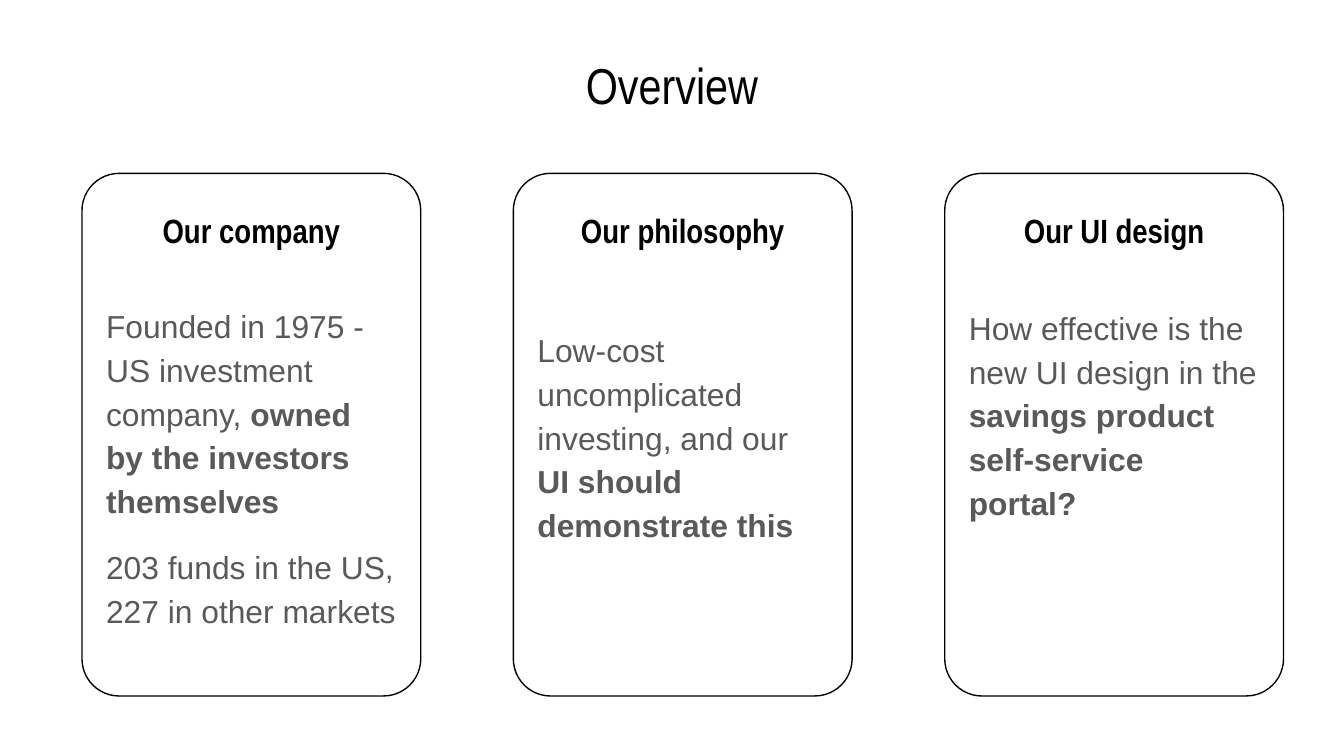
from pptx import Presentation
from pptx.dml.color import RGBColor
from pptx.enum import shapes, text
from pptx.util import Pt

TITLE = "Overview"
CARDS = [
    {"heading": "Our company", "pad_top": 33, "pad_bottom": 0, "body": [
        [("Founded in 1975 - US investment company, ", False),
         ("owned by the investors themselves", True)],
        [("203 funds in the US, 227 in other markets", False)]]},
    {"heading": "Our philosophy", "pad_top": 0, "pad_bottom": 0, "body": [
        [("Low-cost uncomplicated investing, and our ", False),
         ("UI should demonstrate this", True)]]},
    {"heading": "Our UI design", "pad_top": 0, "pad_bottom": 24, "body": [
        [("How effective is the new UI design in the ", False),
         ("savings product self-service portal?", True)]]},
]
LEFT, TOP, WIDTH, HEIGHT, PITCH = 43.9, 92.9, 181.5, 280, 231.1
INSET = 7.2


def rgb(value):
    return RGBColor.from_string(value)


def write(sp, paragraphs, size, font, color, align, spacing=None, after=0,
          pad_top=0, pad_bottom=0):
    tf = sp.text_frame
    tf.word_wrap = True
    tf.vertical_anchor = text.MSO_ANCHOR.MIDDLE
    tf.margin_left = tf.margin_right = Pt(INSET)
    tf.margin_top = Pt(INSET + pad_top)
    tf.margin_bottom = Pt(INSET + pad_bottom)
    for i, runs in enumerate(paragraphs):
        p = tf.add_paragraph() if i else tf.paragraphs[0]
        p.alignment = align
        p.line_spacing = spacing
        p.space_after = Pt(after)
        for words, bold in runs:
            r = p.add_run()
            r.text = words
            r.font.size = Pt(size)
            r.font.name = font
            r.font.bold = bold
            r.font.color.rgb = rgb(color)


def add_label(s, box, words, size, bold):
    sp = s.shapes.add_textbox(*map(Pt, box))
    write(sp, [[(words, bold)]], size, "Arial Narrow", "000000",
          text.PP_ALIGN.CENTER)


def add_card(s, left, card):
    sp = s.shapes.add_shape(shapes.MSO_SHAPE.ROUNDED_RECTANGLE,
                            Pt(left), Pt(TOP), Pt(WIDTH), Pt(HEIGHT))
    sp.adjustments[0] = 0.11
    sp.shadow.inherit = False
    sp.fill.background()
    sp.line.color.rgb = rgb("000000")
    sp.line.width = Pt(0.75)
    write(sp, card["body"], 17, "Arial", "595959", text.PP_ALIGN.LEFT,
          spacing=1.15, after=12, pad_top=card["pad_top"],
          pad_bottom=card["pad_bottom"])
    add_label(s, (left, 112.3, WIDTH, 22.3), card["heading"], 18, True)


prs = Presentation()
prs.slide_width, prs.slide_height = Pt(720), Pt(405)
s = prs.slides.add_slide(prs.slide_layouts[6])
add_label(s, (36, 32.4, 648, 26), TITLE, 27, False)
for i, card in enumerate(CARDS):
    add_card(s, LEFT + i * PITCH, card)
prs.save("out.pptx")
